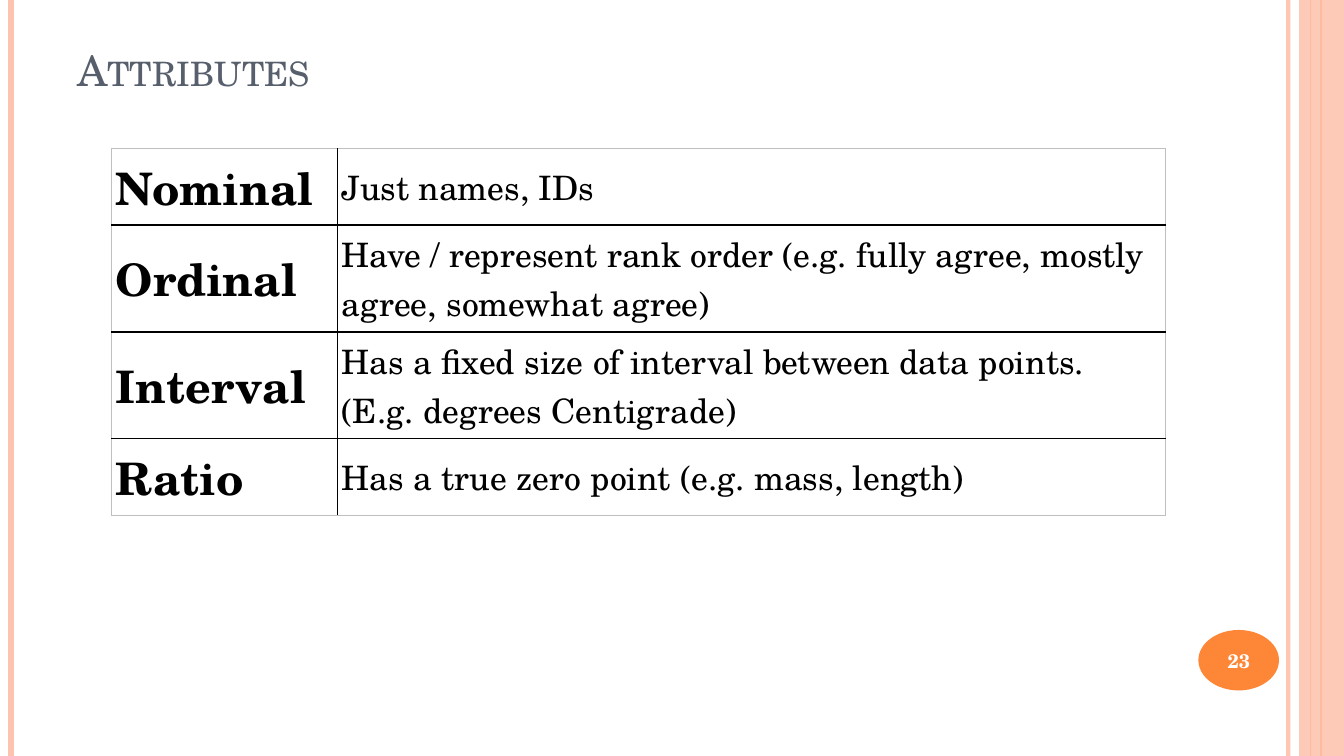
"""Builds the slide that explains the four attribute types."""
import dataclasses

import lxml.etree
import pptx
import pptx.dml.color
import pptx.enum.shapes
import pptx.enum.text
import pptx.oxml.ns
import pptx.util

Pt = pptx.util.Pt
RGB = pptx.dml.color.RGBColor.from_string
qn = pptx.oxml.ns.qn
Align = pptx.enum.text.PP_ALIGN
Anchor = pptx.enum.text.MSO_ANCHOR
Shape = pptx.enum.shapes.MSO_SHAPE


@dataclasses.dataclass(frozen=True)
class Theme:
    font: str = "TeX Gyre Schola"
    peach: str = "FEC3AE"
    orange: str = "FE8637"
    slate: str = "575F6D"
    ink: str = "000000"
    frame: str = "BFBFBF"
    paper: str = "FFFFFF"
    title_size: int = 30
    term_size: int = 32
    meaning_size: int = 24
    number_size: int = 14


def style(paragraph, size, color, bold):
    font = paragraph.runs[0].font
    font.name, font.size, font.bold = theme.font, Pt(size), bold
    font.color.rgb = RGB(color)


def set_alpha(shape, percent):
    color = next(shape._element.spPr.iter(qn("a:srgbClr")))
    lxml.etree.SubElement(color, qn("a:alpha"), val=str(percent * 1000))


theme = Theme()
deck = pptx.Presentation()
deck.slide_width, deck.slide_height = Pt(960), Pt(540)
slide = deck.slides.add_slide(deck.slide_layouts[5])

band = slide.shapes.add_shape(Shape.RECTANGLE, Pt(928), 0, Pt(32), Pt(540))
page_oval = slide.shapes.add_shape(Shape.OVAL, Pt(856), Pt(450), Pt(57.6), Pt(43.2))
for ornament, color in ((band, theme.peach), (page_oval, theme.orange)):
    ornament.shadow.inherit = False
    ornament.fill.solid()
    ornament.fill.fore_color.rgb = RGB(color)
    ornament.line.fill.background()
set_alpha(band, 87)

for x, color, weight, opacity in (
    (920.2, theme.peach, 3, 93),
    (7.9, theme.peach, 4.5, 100),
    (943.9, theme.orange, 1.5, 100),
    (936, theme.orange, 0.75, 100),
):
    stripe = slide.shapes.add_connector(
        pptx.enum.shapes.MSO_CONNECTOR.STRAIGHT, Pt(x), 0, Pt(x), Pt(540)
    )
    stripe.line.color.rgb = RGB(color)
    stripe.line.width = Pt(weight)
    if opacity < 100:
        set_alpha(stripe, opacity)
    lxml.etree.SubElement(stripe._element.spPr, qn("a:effectLst"))
    if x > 928:
        band._element.addprevious(stripe._element)

heading = slide.shapes.title
heading.left, heading.top, heading.width, heading.height = Pt(48), Pt(21.6), Pt(784), Pt(49.7)
heading.text_frame.text = "Attributes"
heading.text_frame.auto_size = pptx.enum.text.MSO_AUTO_SIZE.NONE
heading.text_frame.vertical_anchor = Anchor.BOTTOM
heading.text_frame.paragraphs[0].alignment = Align.LEFT
style(heading.text_frame.paragraphs[0], theme.title_size, theme.slate, False)
heading.text_frame.paragraphs[0].runs[0]._r.get_or_add_rPr().set("cap", "small")

page_number = slide.shapes.add_textbox(Pt(853), Pt(451.4), Pt(64), Pt(41)).text_frame
page_number.word_wrap = True
page_number.text = "23"
page_number.vertical_anchor = Anchor.MIDDLE
page_number.paragraphs[0].alignment = Align.CENTER
style(page_number.paragraphs[0], theme.number_size, theme.paper, True)

attributes = (
    ("Nominal", "Just names, IDs", 54.5),
    ("Ordinal", "Have / represent rank order (e.g. fully agree, mostly agree, somewhat agree)", 76.4),
    ("Interval", "Has a fixed size of interval between data points. (E.g. degrees Centigrade)", 76.4),
    ("Ratio", "Has a true zero point (e.g. mass, length)", 54.5),
)
table = slide.shapes.add_table(4, 2, Pt(79.9), Pt(106.2), Pt(752.4), Pt(261.8)).table
table.first_row = table.horz_banding = False
table.columns[0].width, table.columns[1].width = Pt(161.3), Pt(591.1)

for row, (term, meaning, height) in enumerate(attributes):
    table.rows[row].height = Pt(height)
    for column, words in enumerate((term, meaning)):
        cell = table.cell(row, column)
        cell.text = words
        cell.vertical_anchor = Anchor.MIDDLE
        cell.margin_left = cell.margin_right = cell.margin_top = cell.margin_bottom = Pt(2.9)
        size = theme.meaning_size if column else theme.term_size
        style(cell.text_frame.paragraphs[0], size, theme.ink, column == 0)
        outer_sides = {"lnL": column == 0, "lnR": column == 1, "lnT": row == 0, "lnB": row == 3}
        for side, is_outer in outer_sides.items():
            edge = lxml.etree.SubElement(cell._tc.get_or_add_tcPr(), qn(f"a:{side}"), w=str(Pt(1)))
            paint = lxml.etree.SubElement(edge, qn("a:solidFill"))
            edge_color = theme.frame if is_outer else theme.ink
            lxml.etree.SubElement(paint, qn("a:srgbClr"), val=edge_color)
        cell.fill.background()

deck.save("out.pptx")
